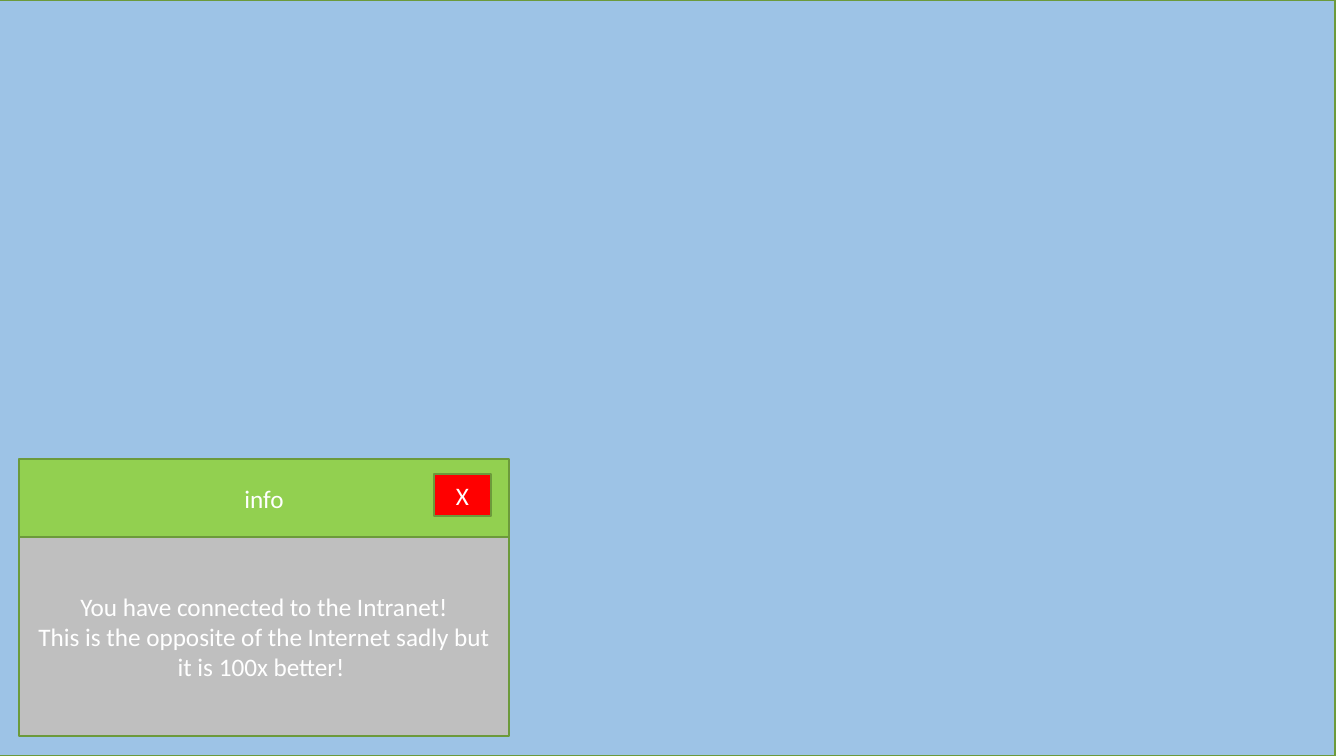
"""Build a desktop slide with an info window announcing the Intranet."""
from pptx import Presentation
from pptx import util as u
from pptx.dml.color import RGBColor
from pptx.enum import shapes, text

WIDTH, HEIGHT = 1344, 756
SCALE = 12192000 / WIDTH
OUTLINE, INK = "6C9A3B", "FFFFFF"
FONT = {"name": "Calibri", "size": u.Pt(18)}
FRAME = {"word_wrap": True, "vertical_anchor": text.MSO_ANCHOR.MIDDLE}

LEFT, TOP, WINDOW_WIDTH = 19, 459, 490
BAR_HEIGHT, BODY_HEIGHT = 78, 199
MESSAGE = [
    "You have connected to the Intranet!",
    "This is the opposite of the Internet sadly but it is 100x better! ",
]
PANELS = [
    ((-9, 0, WIDTH, HEIGHT), "9DC3E6", []),
    ((LEFT, TOP + BAR_HEIGHT, WINDOW_WIDTH, BODY_HEIGHT), "BFBFBF", MESSAGE),
    ((LEFT, TOP, WINDOW_WIDTH, BAR_HEIGHT), "92D050", ["info"]),
    ((434, 474, 57, 42), "FF0000", ["X"]),
]


def px(length):
    return u.Emu(round(length * SCALE))


def color(value):
    return RGBColor.from_string(value)


def assign(target, values):
    for name, value in values.items():
        setattr(target, name, value)


def add_panel(page, bounds, fill, lines):
    box = page.shapes.add_shape(shapes.MSO_SHAPE.RECTANGLE, *map(px, bounds))
    box.shadow.inherit = False
    box.fill.solid()
    box.fill.fore_color.rgb = color(fill)
    box.line.color.rgb = color(OUTLINE)
    box.line.width = u.Pt(1)
    frame = box.text_frame
    assign(frame, FRAME)
    for index, line in enumerate(lines):
        para = frame.add_paragraph() if index else frame.paragraphs[0]
        para.alignment = text.PP_ALIGN.CENTER
        span = para.add_run()
        span.text = line
        assign(span.font, FONT)
        span.font.color.rgb = color(INK)


def main():
    deck = Presentation()
    deck.slide_width, deck.slide_height = px(WIDTH), px(HEIGHT)
    page = deck.slides.add_slide(deck.slide_layouts[6])
    for panel in PANELS:
        add_panel(page, *panel)
    deck.save("out.pptx")


if __name__ == "__main__":
    main()
